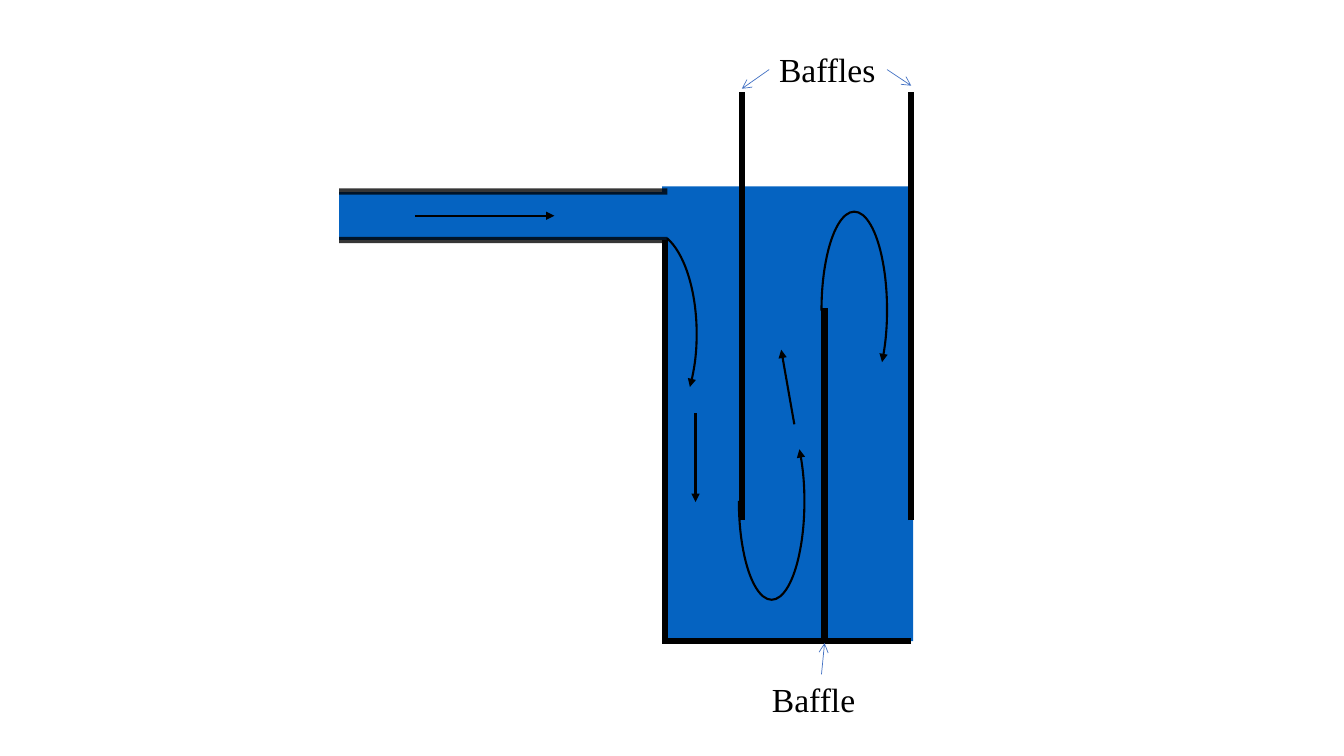
from lxml.etree import SubElement as Sub
from pptx import Presentation
from pptx.dml.color import RGBColor as Rgb
from pptx.enum.shapes import MSO_CONNECTOR as Conn, MSO_SHAPE as Kind
from pptx.enum.text import MSO_AUTO_SIZE as Fit
from pptx.oxml.ns import qn
from pptx.util import Pt

HUES = {"water": "0563C1", "ink": "000000", "paper": "FFFFFF", "guide": "4472C4"}
WALL, FLOW, THIN = 4.5, 1.5, 0.5


class Sketch:
    """Draws the parts of the flow diagram on one slide, in points."""

    font = "Times New Roman"
    size = 24

    def __init__(self, slide):
        self.shapes = slide.shapes

    def hue(self, name):
        return Rgb.from_string(HUES[name])

    def paint(self, shape, fill=None, line=None, width=1):
        shape.shadow.inherit = False
        if fill:
            shape.fill.solid()
            shape.fill.fore_color.rgb = self.hue(fill)
        else:
            shape.fill.background()
        if line:
            self.stroke(shape.line, line, width)
        else:
            shape.line.fill.background()

    def stroke(self, line, hue, width):
        line.color.rgb = self.hue(hue)
        line.width = Pt(width)

    def tip(self, shape, end, kind):
        Sub(shape.line._get_or_add_ln(), qn(f"a:{end}End"), type=kind)

    def rect(self, box, fill, line=None):
        shape = self.shapes.add_shape(Kind.RECTANGLE, *map(Pt, box))
        self.paint(shape, fill, line)

    def pipe(self, left, top, right, base, alpha):
        form = self.shapes.build_freeform(Pt(right), Pt(top), scale=1.0)
        ends = [(left, top), (left, base), (right, base)]
        form.add_line_segments([(Pt(x), Pt(y)) for x, y in ends], close=False)
        shape = form.convert_to_shape()
        self.paint(shape, "water", "ink", WALL)
        tone = shape.line._get_or_add_ln().find(".//" + qn("a:srgbClr"))
        Sub(tone, qn("a:alpha"), val=str(alpha * 1000))

    def line(self, ends, width, hue="ink", end=None, kind="triangle"):
        line = self.shapes.add_connector(Conn.STRAIGHT, *map(Pt, ends))
        self.stroke(line.line, hue, width)
        Sub(line._element.spPr, qn("a:effectLst"))
        if end:
            self.tip(line, end, kind)

    def curve(self, box, start, stop, end, turn=0):
        arc = self.shapes.add_shape(Kind.ARC, *map(Pt, box))
        arc.adjustments[0] = start
        arc.adjustments[1] = stop
        arc.rotation = turn
        self.paint(arc, line="ink", width=FLOW)
        self.tip(arc, end, "triangle")

    def label(self, box, text, wrap):
        frame = self.shapes.add_textbox(*map(Pt, box)).text_frame
        frame.word_wrap = wrap
        frame.auto_size = Fit.SHAPE_TO_FIT_TEXT
        frame.text = text
        font = frame.paragraphs[0].runs[0].font
        font.name = self.font
        font.size = Pt(self.size)
        font.color.rgb = self.hue("ink")


def main():
    deck = Presentation()
    deck.slide_width, deck.slide_height = Pt(960), Pt(540)
    art = Sketch(deck.slides.add_slide(deck.slide_layouts[6]))

    left, mid, low, right = 475.2, 529.9, 589, 650.9
    top, foot, floor = 65.5, 371.5, 457.9

    art.rect((473, 133.2, 179.3, 324.7), "water")
    art.line((mid, foot, mid, top), WALL)
    art.line((low, 459.4, low, 220.3), WALL)
    art.pipe(236.2, 136.8, 476.6, 171.4, alpha=78)
    art.rect((226.8, 128.2, 15.1, 51.8), "paper", "paper")

    art.line((296.6, 154.1, 396, 154.1), FLOW, end="tail")
    art.line((496.8, 295.2, 496.8, 358.6), FLOW, end="tail")
    art.curve((527.8, 288, 46.8, 140.4), 178.8, 108.64, "head")
    art.line((558, 249.8, 567.4, 303.1), FLOW, end="head")

    art.line((right, foot, right, top), WALL)
    art.line((left, floor, left, 171.4), WALL)
    art.line((right, floor, 473, floor), WALL)

    art.curve((430.6, 164.9, 67, 146.9), 60.13, 139.81, "tail", turn=180)
    art.curve((586.8, 151.2, 46.8, 140.4), 107.36, 37.2, "tail")

    for ends in [
        (549.4, 49.7, mid, 63.4),
        (633.6, 49.7, right, 61.2),
        (586.8, 481.7, low, 459.4),
    ]:
        art.line(ends, THIN, "guide", "tail", "arrow")
    art.label((549.4, 31.7, 84.2, 36), "Baffles", wrap=False)
    art.label((544.3, 481.7, 84.2, 36), "Baffle", wrap=True)

    deck.save("out.pptx")


if __name__ == "__main__":
    main()
